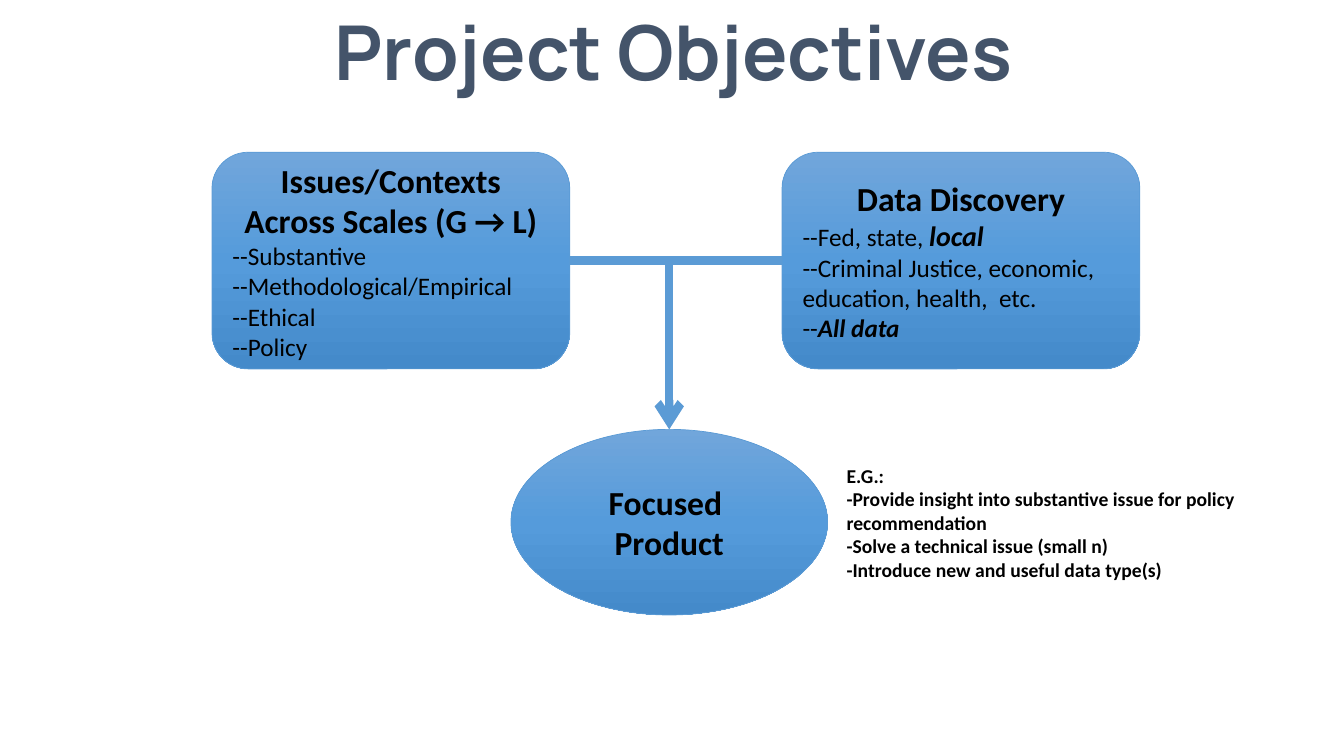
"""Builds the Project Objectives slide: two inputs that lead to one focused product."""
from copy import deepcopy
from lxml.etree import SubElement
from pptx import Presentation
from pptx.dml.color import RGBColor
from pptx.enum.shapes import MSO_CONNECTOR as LINK, MSO_SHAPE as SHAPE
from pptx.enum.text import MSO_ANCHOR as ANCHOR, PP_ALIGN as ALIGN
from pptx.oxml.ns import qn
from pptx.util import Pt

COLORS = {"title": "44546A", "text": "000000", "line": "5B9BD5",
          "top": "71A6DB", "middle": "559BDB", "bottom": "448ACA"}


def write(frame, paragraphs, font="Calibri", color="text"):
    """Fill a frame from (alignment, [(text, size, bold, italic), ...]) paragraphs."""
    for index, (align, runs) in enumerate(paragraphs):
        paragraph = frame.paragraphs[0] if index == 0 else frame.add_paragraph()
        paragraph.alignment = align
        for text, size, bold, italic in runs:
            run = paragraph.add_run()
            run.text = text
            run.font.name, run.font.size = font, Pt(size)
            run.font.bold, run.font.italic = bold, italic
            run.font.color.rgb = RGBColor.from_string(COLORS[color])


def add_node(kind, left, top, width, height, paragraphs):
    """Add a gradient-filled shape with centred-in-height text."""
    node = slide.shapes.add_shape(kind, Pt(left), Pt(top), Pt(width), Pt(height))
    node.shadow.inherit = False
    node.fill.gradient()
    node.fill.gradient_angle = 270
    stop_list = node.fill._fill._gradFill.gsLst
    stop_list.insert(1, deepcopy(stop_list[0]))
    for stop, name, position in zip(node.fill.gradient_stops, ("top", "middle", "bottom"), (0, 0.5, 1)):
        stop.color.rgb = RGBColor.from_string(COLORS[name])
        stop.position = position
    node.line.color.rgb = RGBColor.from_string(COLORS["line"])
    node.line.width = Pt(0.5)
    node.text_frame.word_wrap = True
    node.text_frame.vertical_anchor = ANCHOR.MIDDLE
    write(node.text_frame, paragraphs)
    return node


deck = Presentation()
deck.slide_width, deck.slide_height = Pt(960), Pt(540)
slide = deck.slides.add_slide(deck.slide_layouts[6])

title = slide.shapes.add_textbox(Pt(35.3), Pt(0), Pt(891.4), Pt(80.6)).text_frame
title.word_wrap = True
title.vertical_anchor = ANCHOR.MIDDLE
write(title, [(ALIGN.CENTER, [("Project Objectives", 54, True, False)])], "Manrope", "title")
title.paragraphs[0].line_spacing = 0.9

issues_text = [(ALIGN.CENTER, [(text, 24, True, False)])
               for text in ("Issues/Contexts", "Across Scales (G → L)")]
issues_text += [(ALIGN.LEFT, [(text, 18, False, False)])
                for text in ("--Substantive", "--Methodological/Empirical", "--Ethical", "--Policy")]
data_text = [
    (ALIGN.CENTER, [("Data Discovery", 24, True, False)]),
    (ALIGN.LEFT, [("--Fed, state, ", 18, False, False), ("local", 20, True, True)]),
    (ALIGN.LEFT, [("--Criminal Justice, economic, education, health,  etc.", 18, False, False)]),
    (ALIGN.LEFT, [("--", 18, False, False), ("All data", 18, True, True)]),
]
product_text = [(ALIGN.CENTER, [(text, 24, True, False)]) for text in ("Focused ", "Product")]

issues = add_node(SHAPE.ROUNDED_RECTANGLE, 151.4, 108.7, 255.6, 154.8, issues_text)
data = add_node(SHAPE.ROUNDED_RECTANGLE, 558.6, 108.7, 255.6, 154.8, data_text)
product = add_node(SHAPE.OVAL, 365, 306.7, 226.2, 132.6, product_text)

join_x = product.left + product.width // 2
join_y = issues.top + issues.height // 2
data_link = slide.shapes.add_connector(LINK.ELBOW, data.left, join_y, join_x, product.top)
data_link.begin_connect(data, 1)
data_link.end_connect(product, 0)
data_link._element.spPr.find(qn("a:prstGeom")).set("prst", "bentConnector2")
issues_link = slide.shapes.add_connector(LINK.STRAIGHT, issues.left + issues.width, join_y, join_x, join_y)
for link in (data_link, issues_link):
    link.line.color.rgb = RGBColor.from_string(COLORS["line"])
    link.line.width = Pt(6)
    SubElement(link._element.spPr, qn("a:effectLst"))
SubElement(data_link.line._get_or_add_ln(), qn("a:tailEnd"), type="arrow")

examples = slide.shapes.add_textbox(Pt(597.6), Pt(327.6), Pt(295.2), Pt(92.2)).text_frame
examples.word_wrap = False
write(examples, [(ALIGN.LEFT, [(text, 14, True, False)]) for text in (
    "E.G.:",
    "-Provide insight into substantive issue for policy",
    "recommendation",
    "-Solve a technical issue (small n)",
    "-Introduce new and useful data type(s)",
)])

deck.save("out.pptx")
